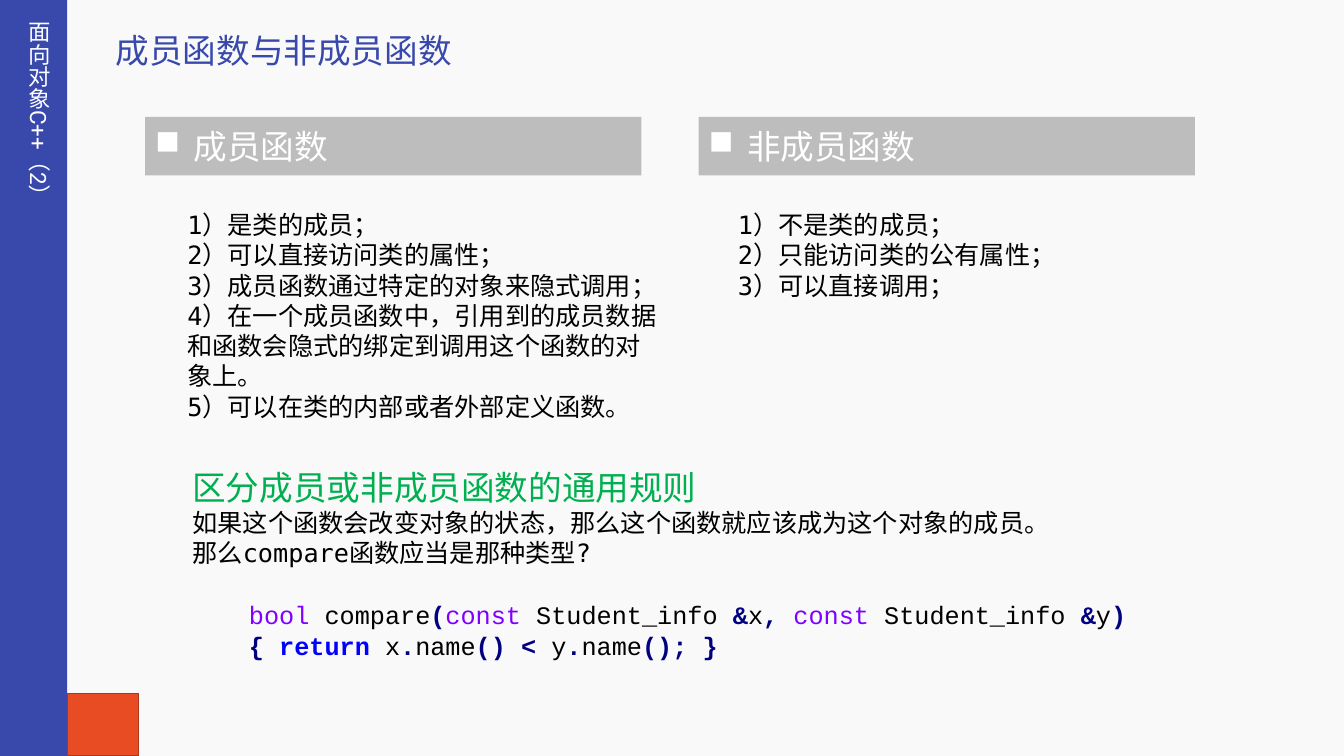
from lxml import etree
from pptx import Presentation
from pptx import util as u
from pptx.dml.color import RGBColor
from pptx.enum import shapes, text
from pptx.oxml.ns import qn

W, H = 13.33, 7.5
COLORS = {
    "back": "F9F9F9", "blue": "3949AB", "orange": "E84C22", "rust": "AC3819",
    "gray": "BDBDBD", "white": "FFFFFF", "black": "000000", "green": "00B050",
    "type": "8000FF", "symbol": "000080", "keyword": "0000FF",
}
CJK, MONO, LATIN, CODE = "Noto Sans CJK SC", "DejaVu Sans Mono", "Roboto", "Courier New"

MEMBER = [
    "1）是类的成员；",
    "2）可以直接访问类的属性；",
    "3）成员函数通过特定的对象来隐式调用；",
    "4）在一个成员函数中，引用到的成员数据和函数会隐式的绑定到调用这个函数的对象上。",
    "5）可以在类的内部或者外部定义函数。",
]
NON_MEMBER = ["1）不是类的成员；", "2）只能访问类的公有属性；", "3）可以直接调用；"]
RULE = ("如果这个函数会改变对象的状态，那么这个函数就应该成为这个对象的成员。"
        "那么compare函数应当是那种类型?")
CODE_LINES = [
    [("bool", "type"), (" compare", "black"), ("(", "symbol"),
     ("const ", "type"), ("Student_info ", "black"), ("&", "symbol"), ("x", "black"),
     (", ", "symbol"), ("const ", "type"), ("Student_info ", "black"),
     ("&", "symbol"), ("y", "black"), (")", "symbol")],
    [("{ ", "symbol"), ("return", "keyword"), (" x", "black"), (".", "symbol"),
     ("name", "black"), ("() <", "symbol"), (" y", "black"), (".", "symbol"),
     ("name", "black"), ("(); }", "symbol")],
]


def rgb(name):
    return RGBColor.from_string(COLORS[name])


def style(r, size, font, color, bold=False):
    r.font.size, r.font.name, r.font.bold = u.Pt(size), font, bold
    r.font.color.rgb = rgb(color)
    ea = etree.SubElement(r.font._element, qn("a:ea"))
    ea.set("typeface", CJK)


def add_text(s, box, lines, size, font, color, wrap=True):
    sp = s.shapes.add_textbox(*map(u.Inches, box))
    tf = sp.text_frame
    tf.word_wrap = wrap
    tf.text = "\n".join(lines)
    for p in tf.paragraphs:
        for r in p.runs:
            style(r, size, font, color)
    return tf


def add_block(s, kind, box, fill, line=None):
    sp = s.shapes.add_shape(kind, *map(u.Inches, box))
    sp.shadow.inherit = False
    sp.fill.solid()
    sp.fill.fore_color.rgb = rgb(fill)
    if line:
        sp.line.color.rgb, sp.line.width = rgb(line), u.Pt(1)
    else:
        sp.line.fill.background()
    return sp


def sidebar(s, width):
    rect = shapes.MSO_SHAPE.RECTANGLE
    add_block(s, rect, (width, H - 0.62, 0.71, 0.62), "orange", "rust")
    add_block(s, rect, (0, 0, width, H), "blue")
    tf = add_text(s, (0.1, 0.11, 0.47, 2), ["面向对象C++（2）"], 16, LATIN, "white", False)
    tf._txBody.bodyPr.set("vert", "eaVert")


def column(s, left, top, heading, items, inset, width, wrap):
    # Heading bar with a square bullet
    sp = add_block(s, shapes.MSO_SHAPE.ROUND_2_SAME_RECTANGLE, (left, top, 4.92, 0.58), "gray")
    sp.adjustments[0], sp.adjustments[1] = 0.006, 0
    tf = sp.text_frame
    tf.vertical_anchor = text.MSO_ANCHOR.MIDDLE
    tf.text = heading
    p = tf.paragraphs[0]
    p.alignment = text.PP_ALIGN.LEFT
    pPr = p._p.get_or_add_pPr()
    pPr.set("marL", str(u.Inches(0.38)))
    pPr.set("indent", str(-u.Inches(0.38)))
    etree.SubElement(pPr, qn("a:buChar")).set("char", "■")
    style(p.runs[0], 24, CJK, "white")
    # Numbered points
    add_text(s, (left + inset, top + 0.87, width, 0.1 + 0.3 * len(items)),
             items, 18, MONO, "black", wrap)


def rule(s, left, top, width):
    tf = add_text(s, (left, top, width, 1.11),
                  ["区分成员或非成员函数的通用规则", RULE], 24, MONO, "green")
    r = tf.paragraphs[1].runs[0]
    r.font.size, r.font.color.rgb = u.Pt(18), rgb("black")


def code(s, left, top, width):
    p = add_text(s, (left, top, width, 0.71), [], 18, CODE, "black").paragraphs[0]
    for i, line in enumerate(CODE_LINES):
        if i:
            p.add_line_break()
        for token, color in line:
            r = p.add_run()
            r.text = token
            style(r, 18, CODE, color, color in ("symbol", "keyword"))


def main():
    prs = Presentation()
    prs.slide_width, prs.slide_height = u.Inches(W), u.Inches(H)
    s = prs.slides.add_slide(prs.slide_layouts[6])
    s.background.fill.solid()
    s.background.fill.fore_color.rgb = rgb("back")

    sidebar(s, W / 20)
    add_text(s, (1.05, 0.25, 3.57, 0.5), ["成员函数与非成员函数"], 24, LATIN, "blue", False)
    column(s, 1.44, 1.16, "成员函数", MEMBER, 0.32, 4.85, True)
    column(s, 6.93, 1.16, "非成员函数", NON_MEMBER, 0.29, 3.37, False)
    rule(s, 1.81, 4.58, 8.65)
    code(s, 2.37, 5.9, 10.09)
    prs.save("out.pptx")


if __name__ == "__main__":
    main()
